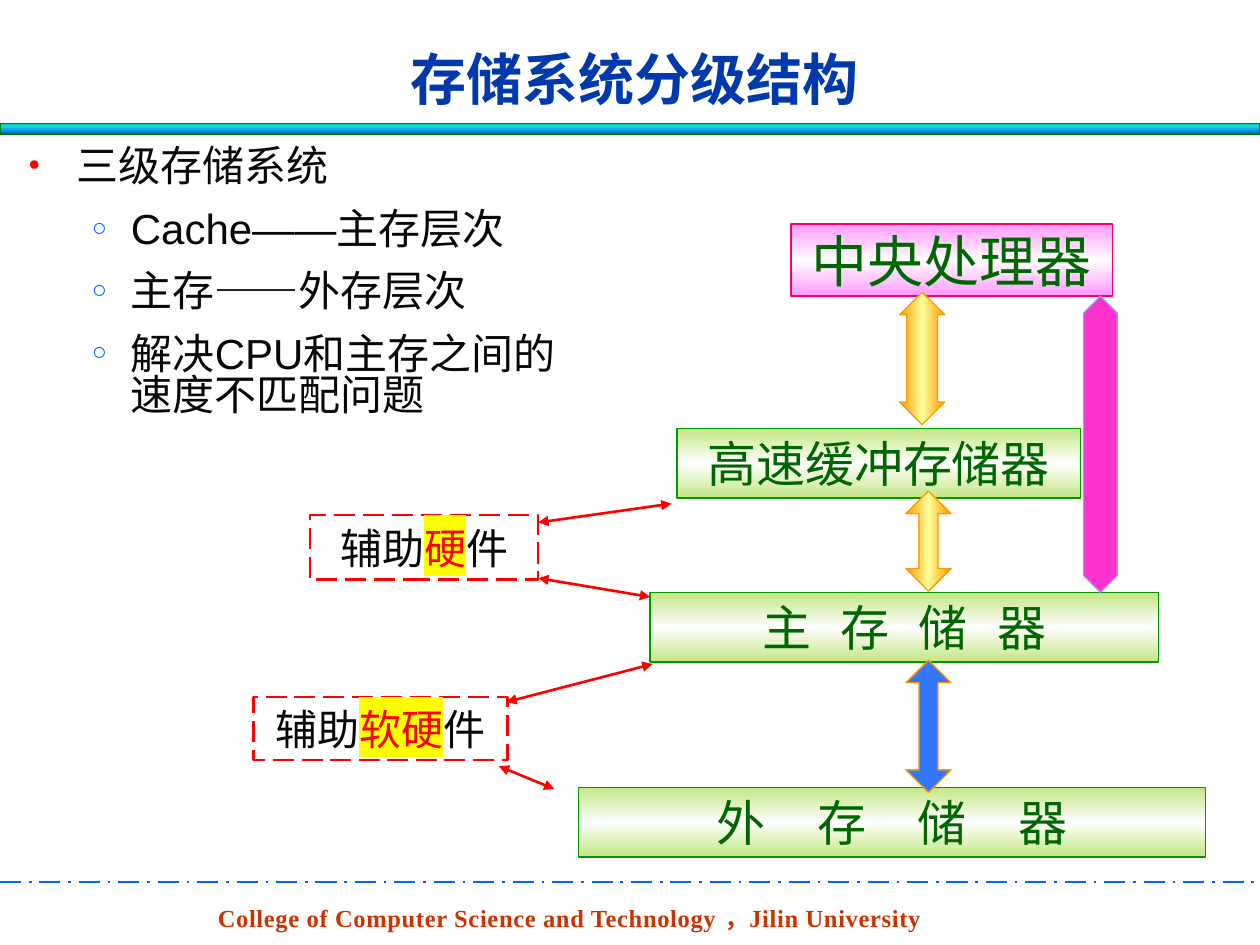
import dataclasses

import lxml.etree
import pptx
import pptx.dml.color
import pptx.enum.dml
import pptx.enum.shapes
import pptx.enum.text
import pptx.oxml.ns
import pptx.util

SHAPE = pptx.enum.shapes.MSO_SHAPE
DASH = pptx.enum.dml.MSO_LINE
ALIGN = pptx.enum.text.PP_ALIGN
ANCHOR = pptx.enum.text.MSO_ANCHOR
CJK = "Noto Sans CJK SC"
COLORS = {
    "title": "0039AC", "text": "080808", "red": "FF0000", "highlight": "FFFF00",
    "blue": "0066FF", "footer": "CC3300", "label": "006600",
    "pink": "FF99FF", "pink_line": "FF0066", "white": "FFFFFF",
    "green": "C3E684", "green_line": "009900", "bar_line": "008000",
    "orange": "FF9900", "yellow": "FFFF99", "magenta": "FF33CC",
    "lilac": "9999FF", "arrow_blue": "3477FF",
    "bar1": "03D4A8", "bar2": "21D6E0", "bar3": "0087E6", "bar4": "005CBF",
}


@dataclasses.dataclass
class Box:
    left: float
    top: float
    width: float
    height: float

    def point(self, x, y):
        """Slide position of a point given in percent of this box."""
        return self.left + self.width * x / 100, self.top + self.height * y / 100

    def inner(self, x, y, w, h):
        """Sub-box given in percent of this box."""
        return Box(*self.point(x, y), self.width * w / 100, self.height * h / 100)

    def emu(self):
        return [pptx.util.Inches(v) for v in (self.left, self.top, self.width, self.height)]


def rgb(name):
    return pptx.dml.color.RGBColor.from_string(COLORS[name])


def sub(parent, tag, **attrs):
    return lxml.etree.SubElement(parent, pptx.oxml.ns.qn(tag), attrs)


def paint(s, fill, line, width=0.75, angle=270):
    """Fill with nothing, one colour name, or a list of (percent, name) stops."""
    s.shadow.inherit = False
    if fill is None:
        s.fill.background()
    elif isinstance(fill, str):
        s.fill.solid()
        s.fill.fore_color.rgb = rgb(fill)
    else:
        s.fill.gradient()
        s.fill.gradient_angle = angle
        stops = s._element.spPr.find(".//" + pptx.oxml.ns.qn("a:gsLst"))
        for old in list(stops):
            stops.remove(old)
        for pos, name in fill:
            sub(sub(stops, "a:gs", pos=str(pos * 1000)), "a:srgbClr", val=COLORS[name])
    s.line.color.rgb = rgb(line)
    s.line.width = pptx.util.Pt(width)


def mirrored(edge, middle):
    return [(0, edge), (50, middle), (100, edge)]


def add_run(p, text, size, color, font="Arial", bold=False, spacing=0, highlight=None):
    r = p.add_run()
    r.text = text
    r.font.size = pptx.util.Pt(size)
    r.font.bold = bold
    r.font.color.rgb = rgb(color)
    r.font.name = font
    props = r._r.get_or_add_rPr()
    sub(props, "a:ea", typeface=CJK)
    if spacing:
        props.set("spc", str(round(spacing * 100)))
    if highlight:
        mark = lxml.etree.Element(pptx.oxml.ns.qn("a:highlight"))
        sub(mark, "a:srgbClr", val=COLORS[highlight])
        props.find(pptx.oxml.ns.qn("a:solidFill")).addnext(mark)


def set_frame(tf, anchor, side=0.1, edge=0.05):
    tf.word_wrap = True
    tf.vertical_anchor = anchor
    tf.margin_left = tf.margin_right = pptx.util.Inches(side)
    tf.margin_top = tf.margin_bottom = pptx.util.Inches(edge)


def add_line(slide, start, end, color, dash=None, arrows=False):
    ends = [pptx.util.Inches(v) for v in (*start, *end)]
    c = slide.shapes.add_connector(pptx.enum.shapes.MSO_CONNECTOR.STRAIGHT, *ends)
    c.line.color.rgb = rgb(color)
    c.line.width = pptx.util.Pt(1.5)
    if dash:
        c.line.dash_style = dash
    if arrows:
        for tag in ("a:headEnd", "a:tailEnd"):
            sub(c.line._get_or_add_ln(), tag, type="triangle")
    sub(c._element.spPr, "a:effectLst")


def add_frame(slide, page):
    """Title bar and footer shared by the course slides."""
    footer = slide.shapes.add_textbox(*page.inner(16.3, 94.9, 59.2, 4.4).emu())
    set_frame(footer.text_frame, ANCHOR.TOP)
    add_run(footer.text_frame.paragraphs[0],
            "College of Computer Science and Technology ，Jilin University",
            14, "footer", "Times New Roman", True, 0.36)
    add_line(slide, page.point(0, 93.33), page.point(100, 93.33), "blue", DASH.LONG_DASH_DOT)
    bar = slide.shapes.add_shape(SHAPE.RECTANGLE, *page.inner(0, 13.1, 100, 1.1).emu())
    paint(bar, [(0, "bar1"), (25, "bar2"), (75, "bar3"), (100, "bar4")], "bar_line")


def add_title(slide, box, text):
    title = slide.shapes.title
    title.left, title.top, title.width, title.height = box.emu()
    set_frame(title.text_frame, ANCHOR.MIDDLE)
    p = title.text_frame.paragraphs[0]
    p.alignment = ALIGN.CENTER
    add_run(p, text, 32, "title", bold=True)


def add_outline(slide, box, heading, points):
    tf = slide.shapes.add_textbox(*box.emu()).text_frame
    set_frame(tf, ANCHOR.TOP)
    top = ("•", "red", 75, 0.38, 0.38, CJK)
    nested = ("○", "blue", 60, 0.81, 0.31, "Arial")
    for i, text in enumerate([heading, *points]):
        char, color, size, indent, hang, font = nested if i else top
        p = tf.add_paragraph() if i else tf.paragraphs[0]
        p.level = min(i, 1)
        p.line_spacing = 0.82
        p.space_before = pptx.util.Pt(6 if i else 0)
        p.space_after = pptx.util.Pt(6)
        props = p._p.get_or_add_pPr()
        props.set("marL", str(pptx.util.Inches(indent)))
        props.set("indent", str(-pptx.util.Inches(hang)))
        sub(sub(props, "a:buClr"), "a:srgbClr", val=COLORS[color])
        sub(props, "a:buSzPct", val=str(size * 1000))
        sub(props, "a:buFont", typeface="Arial")
        sub(props, "a:buChar", char=char)
        add_run(p, text, 24, "text", font)


def add_levels(slide, box):
    """Processor and memories, joined by double arrows."""
    pink, green = mirrored("pink", "white"), mirrored("green", "white")
    for text, place, fill, line, size, spacing in [
        ("中央处理器", (33.9, 0, 51.2, 11.4), pink, "pink_line", 32, 0),
        ("高速缓冲存储器", (15.7, 32.3, 64.3, 11), green, "green_line", 28, 0),
        ("主 存 储 器", (11.4, 58.2, 81.1, 11), green, "green_line", 28, 5.3),
        ("外 存 储 器", (0, 89, 100, 11), green, "green_line", 28, 11.7),
    ]:
        s = slide.shapes.add_shape(SHAPE.RECTANGLE, *box.inner(*place).emu())
        paint(s, fill, line)
        set_frame(s.text_frame, ANCHOR.MIDDLE, 0.08, 0.04)
        p = s.text_frame.paragraphs[0]
        p.alignment = ALIGN.CENTER
        add_run(p, text, size, "label", spacing=spacing)

    gold = mirrored("orange", "yellow")
    for place, head, fill, line in [
        ((80.5, 11.4, 5.4, 46.8), 1.36, "magenta", "lilac"),
        ((52.2, 42.2, 7.2, 15.8), 0.42, gold, "orange"),
        ((51.2, 10.8, 7.2, 20.9), 0.68, gold, "orange"),
        ((52.2, 68.9, 7.2, 20.9), 0.42, "arrow_blue", "orange"),
    ]:
        s = slide.shapes.add_shape(SHAPE.UP_DOWN_ARROW, *box.inner(*place).emu())
        s.adjustments[0], s.adjustments[1] = 0.5, head
        paint(s, fill, line, angle=0)


def add_helpers(slide, box):
    """Dashed boxes for what assists each pair of levels, with their pointers."""
    for marked, place in [("软硬", (0, 67.7, 60.8, 22.1)), ("硬", (13.6, 4, 54.5, 22.6))]:
        s = slide.shapes.add_shape(SHAPE.RECTANGLE, *box.inner(*place).emu())
        paint(s, None, "red", 1.5)
        s.line.dash_style = DASH.LONG_DASH
        set_frame(s.text_frame, ANCHOR.MIDDLE)
        p = s.text_frame.paragraphs[0]
        p.alignment = ALIGN.CENTER
        add_run(p, "辅助", 24, "text", CJK)
        add_run(p, marked, 24, "red", CJK, highlight="highlight")
        add_run(p, "件", 24, "text", CJK)
    for start, end in [((100, 0), (68.1, 6.6)), ((68.1, 26.1), (94.9, 32.7)),
                       ((60.5, 69.5), (95.5, 56.2)), ((58.7, 92), (72, 100))]:
        add_line(slide, box.point(*start), box.point(*end), "red", arrows=True)


def main():
    prs = pptx.Presentation()
    page = Box(0, 0, 10, 7.5)
    prs.slide_width, prs.slide_height = page.emu()[2:]
    slide = prs.slides.add_slide(prs.slide_layouts[5])
    add_frame(slide, page)
    add_title(slide, page.inner(7.9, 2, 85, 12.5), "存储系统分级结构")
    add_outline(slide, page.inner(1.3, 15.1, 44.9, 35.1), "三级存储系统",
                ["Cache——主存层次", "主存——外存层次", "解决CPU和主存之间的速度不匹配问题"])
    add_levels(slide, page.inner(45.9, 23.7, 49.8, 67))
    add_helpers(slide, page.inner(20.1, 53.3, 33.2, 30.2))
    prs.save("out.pptx")


if __name__ == "__main__":
    main()
